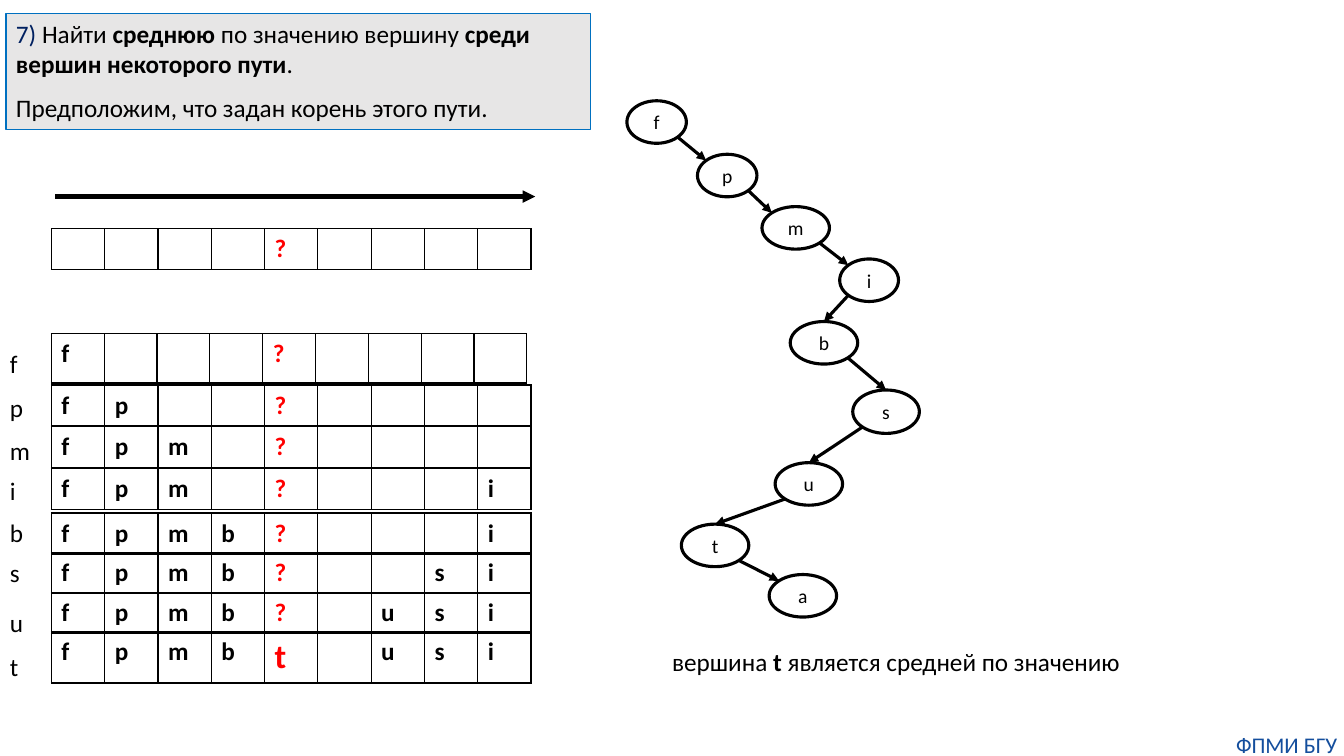
from lxml.etree import SubElement
from pptx import Presentation
from pptx.dml.color import RGBColor
from pptx.enum.shapes import MSO_CONNECTOR, MSO_SHAPE
from pptx.enum.text import MSO_ANCHOR, MSO_AUTO_SIZE, PP_ALIGN
from pptx.oxml.ns import qn
from pptx.util import Pt

BLACK, RED, NAVY = "000000", "FF0000", "002060"
MIDDLE = 4  # column of the median vertex
DIAGONAL = 0.5 ** 0.5

# vertex: left, top, width, height
VERTICES = {
    "f": (447.8, 72, 42.5, 30.4), "p": (498.2, 110.2, 42.5, 30.4),
    "m": (544.3, 147.6, 48.2, 30.4), "i": (599.8, 185, 42, 30.4),
    "b": (564.5, 229.7, 48.2, 30.4), "s": (609.1, 278.6, 47.6, 31),
    "u": (553.7, 330.5, 48.2, 30.4), "t": (486.7, 374.4, 48.2, 30.4),
    "a": (549.4, 410.4, 48.2, 30.4),
}
BOTTOM_RIGHT, BOTTOM_LEFT = (DIAGONAL, DIAGONAL), (-DIAGONAL, DIAGONAL)
TOP_LEFT, TOP = (-DIAGONAL, -DIAGONAL), (0, -1)
EDGES = [
    ("f", BOTTOM_RIGHT, "p", TOP_LEFT), ("p", BOTTOM_RIGHT, "m", TOP_LEFT),
    ("m", BOTTOM_RIGHT, "i", TOP_LEFT), ("i", BOTTOM_LEFT, "b", TOP),
    ("b", BOTTOM_RIGHT, "s", TOP), ("s", BOTTOM_LEFT, "u", TOP),
    ("u", BOTTOM_LEFT, "t", TOP), ("t", BOTTOM_RIGHT, "a", TOP_LEFT),
]

# cells (a dot is an empty one), top, width, height
ARRAY_STATES = [
    ("....?....", 163.4, 342.7, 28.8),
    ("f...?....", 238.3, 339.8, 35.3),
    ("fp..?....", 275, 342.7, 28.8),
    ("fpm.?....", 304.6, 342.7, 28.8),
    ("fpm.?...i", 334.8, 342.7, 28.8),
    ("fpmb?...i", 366.5, 342.7, 28.8),
    ("fpmb?..si", 394.6, 342.7, 28.8),
    ("fpmb?.usi", 423.4, 342.7, 28.8),
    ("fpmbt.usi", 451.4, 342.7, 36),
]
# visited vertex, top, width
STEPS = [
    ("f", 245.5, 20.2), ("p", 276.5, 24.5), ("m", 307.4, 28.8),
    ("i", 336.2, 18.7), ("b", 365.8, 24.5), ("s", 394.6, 21.6),
    ("u", 430.6, 24.5), ("t", 461.5, 20.9),
]


def color(hex_code):
    return RGBColor.from_string(hex_code)


def add_run(paragraph, text, size=18, ink=BLACK, bold=False):
    run = paragraph.add_run()
    run.text = text
    run.font.name = "Calibri"
    run.font.size = Pt(size)
    run.font.bold = bold
    run.font.color.rgb = color(ink)


def add_label(slide, left, top, width, height):
    """Add an unwrapped text box and return its first paragraph."""
    label = slide.shapes.add_textbox(Pt(left), Pt(top), Pt(width), Pt(height))
    label.text_frame.word_wrap = False
    label.text_frame.auto_size = MSO_AUTO_SIZE.SHAPE_TO_FIT_TEXT
    return label.text_frame.paragraphs[0]


def add_arrow(slide, start, end, weight):
    arrow = slide.shapes.add_connector(
        MSO_CONNECTOR.STRAIGHT, *(Pt(value) for value in (*start, *end)))
    arrow.line.color.rgb = color(BLACK)
    arrow.line.width = Pt(weight)
    SubElement(arrow.line._get_or_add_ln(), qn("a:tailEnd"), type="triangle")
    SubElement(arrow._element.spPr, qn("a:effectLst"))


def add_problem(slide, left, top, width, height):
    problem = slide.shapes.add_shape(
        MSO_SHAPE.RECTANGLE, Pt(left), Pt(top), Pt(width), Pt(height))
    problem.shadow.inherit = False
    problem.fill.solid()
    problem.fill.fore_color.rgb = color("E7E6E6")
    problem.line.color.rgb = color("0070C0")
    problem.line.width = Pt(0.75)
    frame = problem.text_frame
    frame.word_wrap = True
    frame.vertical_anchor = MSO_ANCHOR.TOP
    task, assumption = frame.paragraphs[0], frame.add_paragraph()
    for paragraph in (task, assumption):
        paragraph.alignment = PP_ALIGN.LEFT
        paragraph.space_after = Pt(10)
    add_run(task, "7) ", ink=NAVY)
    add_run(task, "Найти ")
    add_run(task, "среднюю ", bold=True)
    add_run(task, "по значению вершину ")
    add_run(task, "среди вершин некоторого пути", bold=True)
    add_run(task, ".")
    add_run(assumption, "Предположим, что задан корень этого пути.")


def add_border(cell):
    properties = cell._tc.get_or_add_tcPr()
    for side in ("lnL", "lnR", "lnT", "lnB"):
        edge = SubElement(properties, qn(f"a:{side}"), w=str(Pt(1)))
        fill = SubElement(edge, qn("a:solidFill"))
        SubElement(fill, qn("a:srgbClr"), val=BLACK)


def add_array(slide, values, left, top, width, height):
    """Draw one state of the array as a one-row table."""
    array = slide.shapes.add_table(
        1, len(values), Pt(left), Pt(top), Pt(width), Pt(height)).table
    array.first_row = array.horz_banding = False
    for column, value in enumerate(values):
        array.columns[column].width = Pt(width / len(values))
        cell = array.cell(0, column)
        add_border(cell)
        cell.fill.background()
        if value != ".":
            found = column == MIDDLE and value != "?"
            add_run(cell.text_frame.paragraphs[0], value, 24 if found else 18,
                    RED if column == MIDDLE else BLACK, bold=True)


def add_trace(slide, left, top, width):
    """Show how the array fills up, with the direction arrow at the top."""
    add_arrow(slide, (left + 39.6, top), (left + width, top), 3)
    for values, array_top, array_width, height in ARRAY_STATES:
        add_array(slide, values, left + 36.7, array_top, array_width, height)
    for vertex, step_top, step_width in STEPS:
        add_run(add_label(slide, left, step_top, step_width, 28.8), vertex)


def add_vertex(slide, name, left, top, width, height):
    vertex = slide.shapes.add_shape(
        MSO_SHAPE.OVAL, Pt(left), Pt(top), Pt(width), Pt(height))
    vertex.shadow.inherit = False
    vertex.fill.background()
    vertex.line.color.rgb = color(BLACK)
    vertex.line.width = Pt(2.25)
    vertex.text_frame.vertical_anchor = MSO_ANCHOR.MIDDLE
    vertex.text_frame.word_wrap = False
    paragraph = vertex.text_frame.paragraphs[0]
    paragraph.alignment = PP_ALIGN.CENTER
    add_run(paragraph, name, 14)


def rim_point(name, direction):
    left, top, width, height = VERTICES[name]
    across, down = direction
    return left + width / 2 * (1 + across), top + height / 2 * (1 + down)


def add_tree_path(slide):
    for name, box in VERTICES.items():
        add_vertex(slide, name, *box)
    for parent, exit_side, child, entry_side in EDGES:
        add_arrow(slide, rim_point(parent, exit_side),
                  rim_point(child, entry_side), 2.25)


def add_conclusion(slide, left, top, width, height):
    conclusion = add_label(slide, left, top, width, height)
    add_run(conclusion, "вершина ")
    add_run(conclusion, "t ", bold=True)
    add_run(conclusion, "является средней по значению")


def add_footer(slide, left, top, width, height):
    footer = slide.shapes.add_textbox(Pt(left), Pt(top), Pt(width), Pt(height))
    frame = footer.text_frame
    frame.word_wrap = True
    frame.margin_left = frame.margin_right = 0
    frame.margin_top = frame.margin_bottom = 0
    frame.paragraphs[0].alignment = PP_ALIGN.CENTER
    add_run(frame.paragraphs[0], "ФПМИ БГУ", 16, "144E9D")


def main():
    deck = Presentation()
    deck.slide_width, deck.slide_height = Pt(960), Pt(540)
    slide = deck.slides.add_slide(deck.slide_layouts[6])
    add_problem(slide, 4.3, 9.4, 417.6, 82.8)
    add_trace(slide, 0, 140.4, 382.3)
    add_tree_path(slide)
    add_conclusion(slide, 473, 457.9, 337.7, 28.8)
    add_footer(slide, 878.4, 522, 81.4, 19.4)
    deck.save("out.pptx")


if __name__ == "__main__":
    main()
